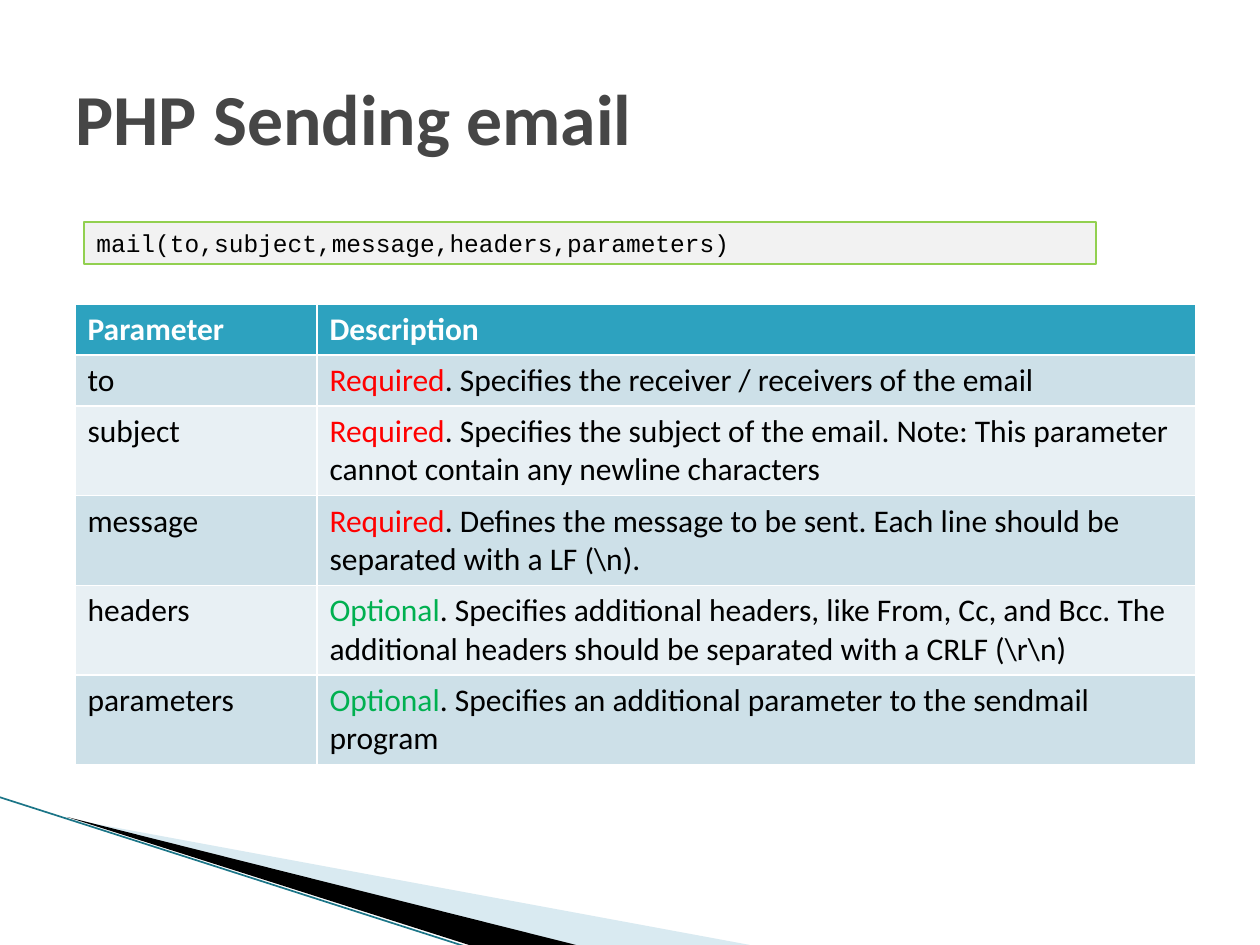
from lxml import etree
from pptx import Presentation
from pptx.dml.color import RGBColor
from pptx.enum.shapes import MSO_CONNECTOR, MSO_SHAPE
from pptx.enum.text import MSO_ANCHOR, PP_ALIGN
from pptx.oxml.ns import qn
from pptx.util import Pt

PX = 914400 / 126
STRAIGHT = MSO_CONNECTOR.STRAIGHT
RECTANGLE = MSO_SHAPE.RECTANGLE
MIDDLE = MSO_ANCHOR.MIDDLE
LEFT = PP_ALIGN.LEFT
TITLE_ONLY = 5

COLORS = {
    "title": "464646", "text": "000000", "white": "FFFFFF",
    "header": "2DA2BF", "band_dark": "CDE0E8", "band_light": "E8F0F4",
    "Required": "FF0000", "Optional": "00B050",
    "code_fill": "F2F2F2", "code_line": "92D050",
    "wedge_pale": "A0CBDC", "wedge_black": "000000", "edge": "1B7587",
}

PARAMETERS = [
    ("to", "Required", ". Specifies the receiver / receivers of the email", 51),
    ("subject", "Required", ". Specifies the subject of the email. Note: This parameter "
     "cannot contain any newline characters", 89),
    ("message", "Required", ". Defines the message to be sent. Each line should be "
     "separated with a LF (\\n).", 89),
    ("headers", "Optional", ". Specifies additional headers, like From, Cc, and Bcc. The "
     "additional headers should be separated with a CRLF (\\r\\n)", 89),
    ("parameters", "Optional", ". Specifies an additional parameter to the sendmail program", 89),
]


def px(length):
    """Turn a length in px into EMU."""
    return round(length * PX)


def color(name):
    """Look up a named colour."""
    return RGBColor.from_string(COLORS[name])


def paint(target, name):
    """Give a shape or cell a solid fill."""
    target.fill.solid()
    target.fill.fore_color.rgb = color(name)


def set_font(font, name, size, tint, bold=False):
    """Format a font."""
    font.name, font.size, font.bold = name, Pt(size), bold
    font.color.rgb = color(tint)


def add_wedge(page, left, top, points, tint, opacity=100):
    """Draw a borderless polygon whose points are relative to left and top."""
    builder = page.shapes.build_freeform(*points[0], scale=PX)
    builder.add_line_segments(points[1:], close=True)
    wedge = builder.convert_to_shape(px(left), px(top))
    wedge.shadow.inherit = False
    paint(wedge, tint)
    wedge.line.fill.background()
    if opacity < 100:
        swatch = wedge.fill._xPr.find(qn("a:solidFill"))[0]
        etree.SubElement(swatch, qn("a:alpha")).set("val", str(opacity * 1000))


def add_corner(page, left, top):
    """Draw the swoosh in the lower left corner."""
    add_wedge(page, left, top, [(69, 22), (750, 148), (575, 148)], "wedge_pale", 40)
    add_wedge(page, left, top, [(67, 20), (576, 148), (469, 148)], "wedge_black")
    edge = page.shapes.add_connector(
        STRAIGHT, px(left - 1), px(top), px(left + 467), px(top + 150))
    edge.line.color.rgb = color("edge")
    edge.line.width = Pt(0.95)
    etree.SubElement(edge._element.spPr, qn("a:effectLst"))


def add_title(page, left, top, width, height):
    """Place and format the title placeholder."""
    title = page.shapes.title
    title.left, title.top, title.width, title.height = map(px, (left, top, width, height))
    title.text_frame.text = "PHP Sending email"
    title.text_frame.vertical_anchor = MIDDLE
    para = title.text_frame.paragraphs[0]
    para.alignment = LEFT
    set_font(para.font, "Calibri", 41, "title", True)


def add_code(page, left, top, width, height):
    """Add the box with the function signature."""
    box = page.shapes.add_shape(RECTANGLE, *map(px, (left, top, width, height)))
    box.shadow.inherit = False
    paint(box, "code_fill")
    box.line.color.rgb = color("code_line")
    box.line.width = Pt(0.75)
    box.text_frame.word_wrap = True
    box.text_frame.text = "mail(to,subject,message,headers,parameters)"
    para = box.text_frame.paragraphs[0]
    para.alignment = LEFT
    set_font(para.font, "Courier New", 14, "text")


def fill_cell(cell, fill, spans, bold=False):
    """Write coloured spans into a table cell."""
    paint(cell, fill)
    para = cell.text_frame.paragraphs[0]
    for text, tint in spans:
        span = para.add_run()
        span.text = text
        set_font(span.font, "Calibri", 18, tint, bold)


def add_parameter_table(page, left, top, widths):
    """Add the table that describes each parameter."""
    heights = [51] + [row[-1] for row in PARAMETERS]
    table = page.shapes.add_table(
        len(heights), len(widths), px(left), px(top), px(sum(widths)), px(sum(heights))).table
    for column, width in zip(table.columns, widths):
        column.width = px(width)
    for row, height in zip(table.rows, heights):
        row.height = px(height)
    for index, heading in enumerate(("Parameter", "Description")):
        fill_cell(table.cell(0, index), "header", [(heading, "white")], True)
    for index, (name, need, description, _) in enumerate(PARAMETERS, 1):
        band = "band_dark" if index % 2 else "band_light"
        fill_cell(table.cell(index, 0), band, [(name, "text")])
        fill_cell(table.cell(index, 1), band, [(need, need), (description, "text")])


def main():
    """Build the deck and save it."""
    deck = Presentation()
    deck.slide_width, deck.slide_height = px(1260), px(945)
    page = deck.slides.add_slide(deck.slide_layouts[TITLE_ONLY])
    add_corner(page, 0, 797)
    add_title(page, 63, 38, 1134, 158)
    add_parameter_table(page, 75, 304, (242, 879))
    add_code(page, 84, 222, 1012, 42)
    deck.save("out.pptx")


if __name__ == "__main__":
    main()
